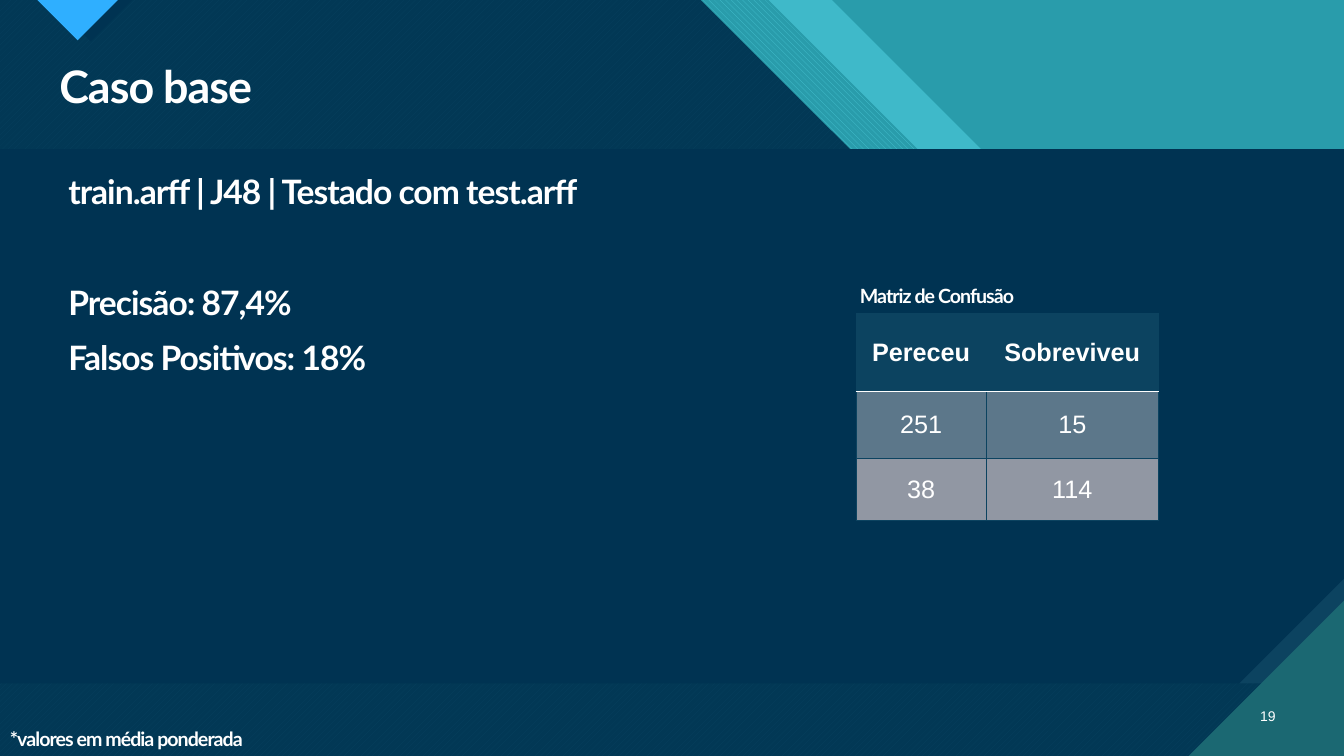
from lxml import etree
from pptx import Presentation
from pptx.dml.color import RGBColor
from pptx.enum.dml import MSO_PATTERN
from pptx.enum.shapes import MSO_SHAPE
from pptx.enum.text import MSO_ANCHOR, PP_ALIGN
from pptx.oxml.ns import qn
from pptx.util import Inches, Pt

WIDTH, HEIGHT = 13.33, 7.5
WHITE = RGBColor(0xFF, 0xFF, 0xFF)
NAVY = RGBColor(0x00, 0x33, 0x52)
STEEL = RGBColor(0x0C, 0x43, 0x60)
SLATE = RGBColor(0x5C, 0x77, 0x8A)
GREY = RGBColor(0x91, 0x97, 0xA3)
TEAL = RGBColor(0x29, 0x9C, 0xAB)
AQUA = RGBColor(0x47, 0xC3, 0xD3)
LIGHT_TEAL = RGBColor(0x3F, 0xB9, 0xC9)
DEEP_TEAL = RGBColor(0x1B, 0x68, 0x72)
BLUE = RGBColor(0x2F, 0xAF, 0xFF)

# text, left, top, width, height, size
TEXTS = [
    ("Caso base", 0.49, 0.59, 12.26, 0.59, 32),
    ("train.arff | J48 | Testado com test.arff", 0.58, 1.69, 6, 0.46, 24),
    ("Precisão: 87,4%", 0.58, 2.79, 3.29, 0.46, 24),
    ("Falsos Positivos: 18%", 0.58, 3.34, 4.83, 0.46, 24),
    ("*valores em média ponderada", 0, 7.19, 4.63, 0.31, 14),
    ("Matriz de Confusão", 8.43, 2.79, 3.29, 0.31, 14),
]
PAGE_NUMBER = "19"
MATRIX = [("Pereceu", "Sobreviveu"), ("251", "15"), ("38", "114")]
MATRIX_LEFT, MATRIX_TOP = 8.49, 3.11
COLUMN_WIDTHS = [1.29, 1.71]
ROW_HEIGHTS = [0.77, 0.67, 0.61]
ROW_FILLS = [STEEL, SLATE, GREY]

HEADER = 1.48       # height of the title band
PANEL_BOTTOM = 6.78
SNIP = 1.04         # cut corner of the content panel
CORNER = 1.54       # triangle at the bottom right
DARK_EDGE, HATCH_EDGE, BAND_EDGE = 6.95, 7.62, 8.25

presentation = Presentation()
presentation.slide_width = Inches(WIDTH)
presentation.slide_height = Inches(HEIGHT)
slide = presentation.slides.add_slide(presentation.slide_layouts[6])
slide.background.fill.solid()
slide.background.fill.fore_color.rgb = TEAL


def add_polygon(points, color, pattern=None, back=None, alpha=None):
    """Draw a closed outline in inches, plain, patterned or see-through."""
    start, *rest = [(Inches(x), Inches(y)) for x, y in points]
    builder = slide.shapes.build_freeform(*start)
    builder.add_line_segments(rest, close=True)
    polygon = builder.convert_to_shape()
    polygon.shadow.inherit = False
    polygon.line.fill.background()
    if pattern:
        polygon.fill.patterned()
        polygon.fill.pattern = pattern
        polygon.fill.back_color.rgb = back
    else:
        polygon.fill.solid()
    polygon.fill.fore_color.rgb = color
    if alpha:
        srgb = polygon.fill._xPr.find(".//" + qn("a:srgbClr"))
        etree.SubElement(srgb, qn("a:alpha"), val=str(alpha * 1000))


def slanted_band(left, right):
    return [(left, 0), (right, 0), (right + HEADER, HEADER), (left + HEADER, HEADER)]


def down_triangle(center, depth):
    return [(center - depth, 0), (center + depth, 0), (center, depth)]


def add_text(text, left, top, width, height, size, font="Lato", bold=True,
             spacing=-70, align=PP_ALIGN.LEFT, anchor=MSO_ANCHOR.TOP):
    frame = slide.shapes.add_textbox(*map(Inches, (left, top, width, height))).text_frame
    frame.word_wrap = True
    frame.vertical_anchor = anchor
    paragraph = frame.paragraphs[0]
    paragraph.alignment = align
    paragraph.line_spacing = 0.9
    run = paragraph.add_run()
    run.text = text
    style_font(run.font, size, font, bold)
    run.font._element.set("spc", str(spacing))


def style_font(font, size, name, bold):
    for key, value in {"size": Pt(size), "name": name, "bold": bold}.items():
        setattr(font, key, value)
    font.color.rgb = WHITE


def set_borders(cell, borders):
    """Add the edges, each given as tag: (colour, points), ahead of the fill."""
    properties = cell._tc.get_or_add_tcPr()
    for position, (tag, (color, points)) in enumerate(borders.items()):
        edge = etree.Element(qn("a:" + tag), w=str(Pt(points)))
        fill = etree.SubElement(edge, qn("a:solidFill"))
        etree.SubElement(fill, qn("a:srgbClr"), val=str(color))
        properties.insert(position, edge)


# Background
add_polygon(slanted_band(HATCH_EDGE, BAND_EDGE), LIGHT_TEAL)
add_polygon(slanted_band(DARK_EDGE, HATCH_EDGE), AQUA,
            MSO_PATTERN.WIDE_DOWNWARD_DIAGONAL, TEAL)
dark_area = [(0, 0), (DARK_EDGE, 0), (9.92, 2.97), (11.18, 2.97),
             (WIDTH, 5.12), (WIDTH, HEIGHT), (0, HEIGHT)]
add_polygon(dark_area, AQUA, MSO_PATTERN.WIDE_UPWARD_DIAGONAL, DEEP_TEAL)
add_polygon(dark_area, NAVY, alpha=90)
add_polygon(down_triangle(0.9, 0.41), NAVY)
add_polygon(down_triangle(0.77, 0.4), BLUE)
add_polygon([(WIDTH, PANEL_BOTTOM - SNIP), (WIDTH, PANEL_BOTTOM),
             (WIDTH - SNIP, PANEL_BOTTOM)], STEEL)
panel = slide.shapes.add_shape(
    MSO_SHAPE.SNIP_1_RECTANGLE, 0, Inches(HEADER),
    Inches(WIDTH), Inches(PANEL_BOTTOM - HEADER))
panel.adjustments[0] = SNIP / (PANEL_BOTTOM - HEADER)
panel._element.spPr.xfrm.set("flipV", "1")
panel.shadow.inherit = False
panel.fill.solid()
panel.fill.fore_color.rgb = NAVY
panel.line.fill.background()
add_polygon([(WIDTH - CORNER, HEIGHT), (WIDTH, HEIGHT), (WIDTH, HEIGHT - CORNER)],
            DEEP_TEAL)

# Text
for entry in TEXTS:
    add_text(*entry)
add_text(PAGE_NUMBER, 12.31, 6.91, 0.44, 0.4, 10, font="Arial", bold=False,
         spacing=0, align=PP_ALIGN.RIGHT, anchor=MSO_ANCHOR.MIDDLE)

# Confusion matrix
matrix = slide.shapes.add_table(
    len(ROW_HEIGHTS), len(COLUMN_WIDTHS), Inches(MATRIX_LEFT), Inches(MATRIX_TOP),
    Inches(sum(COLUMN_WIDTHS)), Inches(sum(ROW_HEIGHTS))).table
matrix.horz_banding = False
for column, width in zip(matrix.columns, COLUMN_WIDTHS):
    column.width = Inches(width)
for r, (values, height, color) in enumerate(zip(MATRIX, ROW_HEIGHTS, ROW_FILLS)):
    matrix.rows[r].height = Inches(height)
    for c, value in enumerate(values):
        cell = matrix.cell(r, c)
        cell.text = value
        cell.vertical_anchor = MSO_ANCHOR.MIDDLE
        cell.fill.solid()
        cell.fill.fore_color.rgb = color
        paragraph = cell.text_frame.paragraphs[0]
        paragraph.alignment = PP_ALIGN.CENTER
        style_font(paragraph.runs[0].font, 18, "Arial", r == 0)
        borders = dict.fromkeys(("lnL", "lnR", "lnT", "lnB"), (STEEL, 0.5))
        if r < 2:
            borders["lnB" if r == 0 else "lnT"] = (WHITE, 0.75)
        set_borders(cell, borders)

presentation.save("out.pptx")
